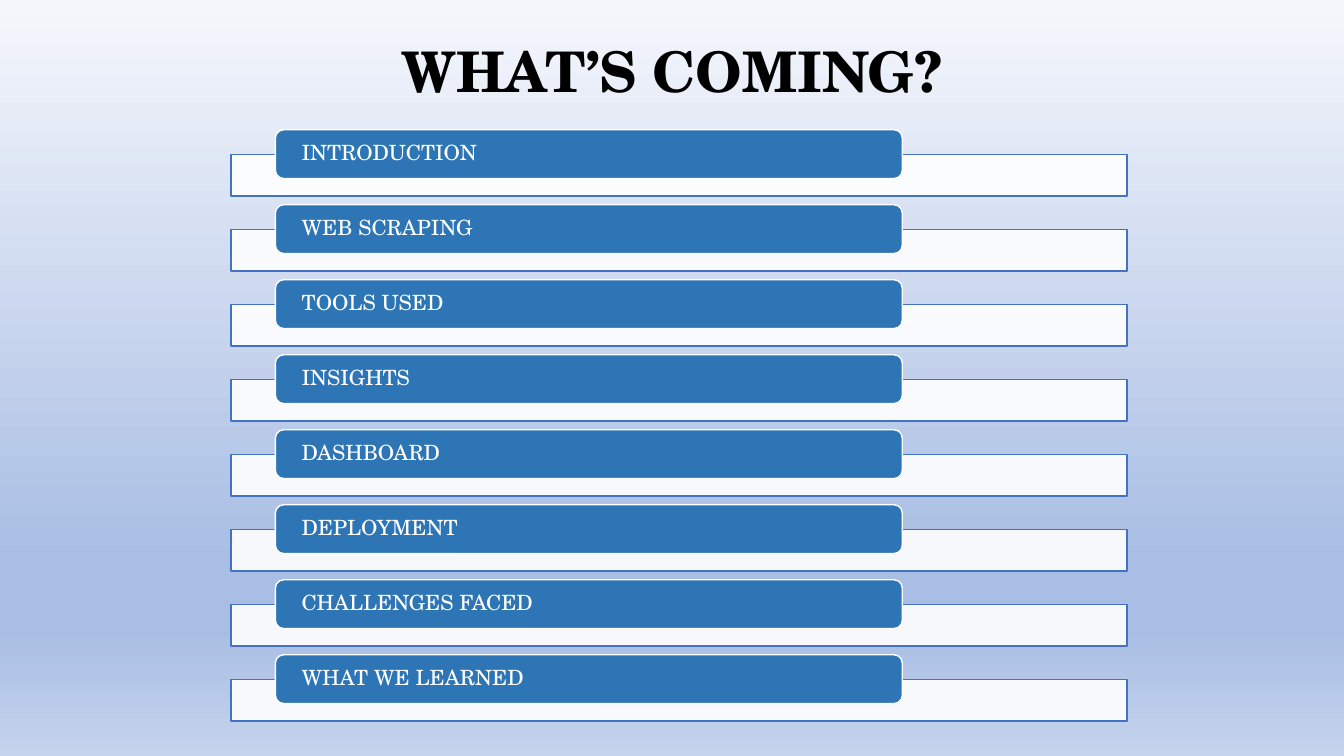
import pptx
import pptx.util
import pptx.dml.color
import pptx.enum.shapes
import pptx.enum.text
import pptx.oxml.ns
from lxml import etree

Cm, Pt = pptx.util.Cm, pptx.util.Pt
qn = pptx.oxml.ns.qn
MSO_SHAPE = pptx.enum.shapes.MSO_SHAPE

FONT = "TeX Gyre Schola"
COLORS = {
    "title": "000000",
    "white": "FFFFFF",
    "pill": "2E75B5",
    "bar_line": "4372C3",
    "sky_top": "F5F7FC",
    "sky_deep": "A9BEE4",
    "sky_bottom": "C5D3ED",
}
SKY_STOPS = [(0, "sky_top"), (74, "sky_deep"), (83, "sky_deep"), (100, "sky_bottom")]
TOPICS = [
    "INTRODUCTION",
    "WEB SCRAPING",
    "TOOLS USED",
    "INSIGHTS",
    "DASHBOARD",
    "DEPLOYMENT",
    "CHALLENGES FACED",
    "WHAT WE LEARNED",
]
FIRST_TOP = 3.27
ROW_PITCH = 1.89
BAR_DROP = 0.62


def rgb(name):
    return pptx.dml.color.RGBColor.from_string(COLORS[name])


def set_background(s):
    fill = s.background.fill
    fill.gradient()
    fill.gradient_angle = 270
    stops = next(s.element.iter(qn("a:gsLst")))
    for stop in list(stops):
        stops.remove(stop)
    for percent, name in SKY_STOPS:
        stop = etree.SubElement(stops, qn("a:gs"), pos=str(percent * 1000))
        etree.SubElement(stop, qn("a:srgbClr"), val=COLORS[name])


def set_text(tf, text, size, color):
    tf.word_wrap = True
    p = tf.paragraphs[0]
    p.text = text
    p.font.name = FONT
    p.font.size = Pt(size)
    p.font.color.rgb = rgb(color)
    return p


def add_title(s, text, width):
    sp = s.shapes.add_textbox(0, Cm(0.79), width, Cm(1.96))
    p = set_text(sp.text_frame, text, 40, "title")
    p.alignment = pptx.enum.text.PP_ALIGN.CENTER
    p.font.bold = True


def add_box(s, kind, left, top, width, height, fill, line):
    sp = s.shapes.add_shape(kind, Cm(left), Cm(top), Cm(width), Cm(height))
    sp.shadow.inherit = False
    sp.fill.solid()
    sp.fill.fore_color.rgb = rgb(fill)
    sp.line.color.rgb = rgb(line)
    sp.line.width = Pt(1)
    return sp


def add_bar(s, top):
    sp = add_box(s, MSO_SHAPE.RECTANGLE, 5.82, top, 22.58, 1.05, "white", "bar_line")
    color = sp.element.spPr.find(qn("a:solidFill")).find(qn("a:srgbClr"))
    etree.SubElement(color, qn("a:alpha"), val="90000")


def add_pill(s, top, text):
    sp = add_box(s, MSO_SHAPE.ROUNDED_RECTANGLE, 6.94, top, 15.8, 1.23, "pill", "white")
    sp.adjustments[0] = 0.17
    tf = sp.text_frame
    tf.margin_left = tf.margin_right = Cm(0.6)
    tf.margin_top = tf.margin_bottom = 0
    tf.vertical_anchor = pptx.enum.text.MSO_ANCHOR.MIDDLE
    p = set_text(tf, text, 15, "white")
    p.alignment = pptx.enum.text.PP_ALIGN.LEFT
    p.line_spacing = 0.9


def main():
    prs = pptx.Presentation()
    prs.slide_width, prs.slide_height = Cm(33.87), Cm(19.05)
    s = prs.slides.add_slide(prs.slide_layouts[6])
    set_background(s)
    add_title(s, "WHAT’S COMING?", prs.slide_width)
    for i, topic in enumerate(TOPICS):
        top = FIRST_TOP + i * ROW_PITCH
        add_bar(s, top + BAR_DROP)
        add_pill(s, top, topic)
    prs.save("out.pptx")


if __name__ == "__main__":
    main()
